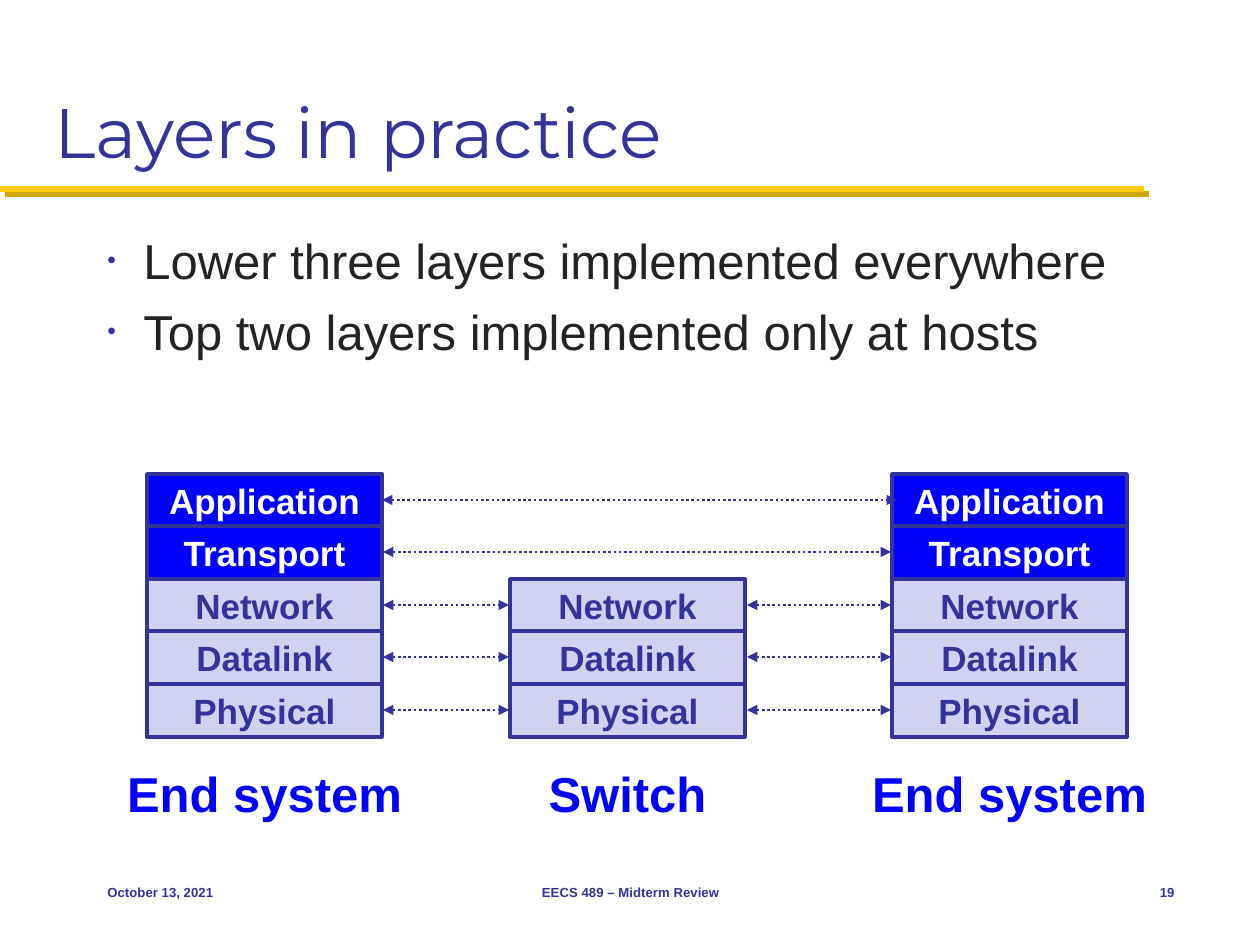
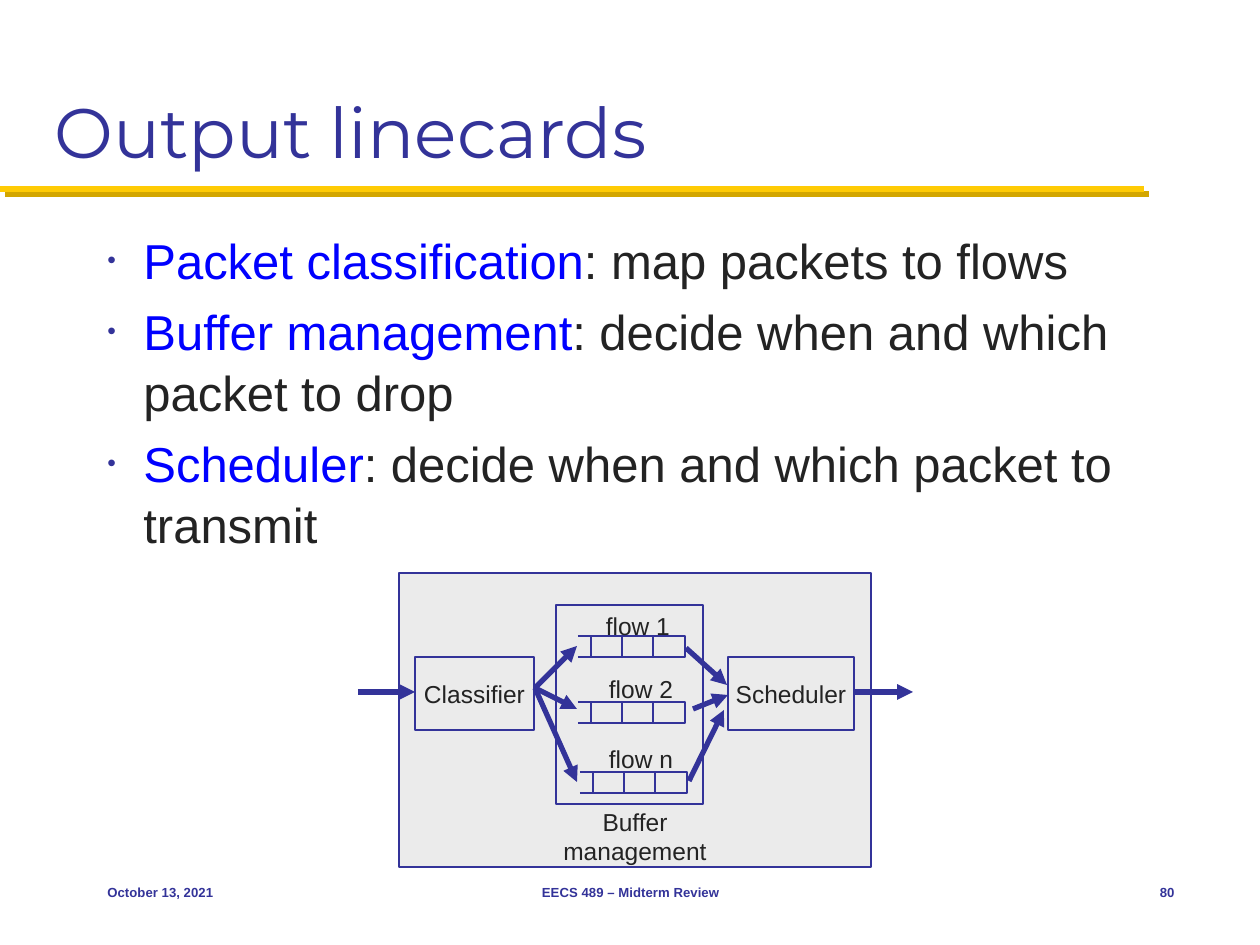
from lxml.etree import SubElement
from pptx import Presentation
from pptx.dml.color import RGBColor as RGB
from pptx.enum.dml import MSO_LINE as DASH
from pptx.enum.shapes import MSO_CONNECTOR as CONNECTOR, MSO_SHAPE as SHAPE
from pptx.enum.text import MSO_ANCHOR as ANCHOR, MSO_AUTO_SIZE as AUTO, PP_ALIGN as ALIGN
from pptx.oxml.ns import qn
from pptx.util import Inches, Pt

PX = 914400 / 126
COLORS = {
    "navy": "333399",
    "blue": "0000FF",
    "lavender": "D1D1F0",
    "gray": "EBEBEB",
    "ink": "232323",
    "white": "FFFFFF",
    "gold": "FFCB05",
    "dark_gold": "D3A600",
}
COLOR = {name: RGB.from_string(value) for name, value in COLORS.items()}


def add_box(page, area, text="", size=14, color="ink", bold=False, align=ALIGN.CENTER,
            fill=None, border=None):
    left, top, width, height = [round(value * PX) for value in area]
    if border:
        box = page.shapes.add_shape(SHAPE.RECTANGLE, left, top, width, height)
        box.shadow.inherit = False
        box.line.color.rgb = COLOR["navy"]
        box.line.width = Pt(border)
        if fill:
            box.fill.solid()
            box.fill.fore_color.rgb = COLOR[fill]
        else:
            box.fill.background()
    else:
        box = page.shapes.add_textbox(left, top, width, height)
    if text:
        frame = box.text_frame
        frame.word_wrap = True
        frame.vertical_anchor = ANCHOR.MIDDLE
        if align == ALIGN.CENTER:
            frame.margin_left = frame.margin_right = 0
        para = frame.paragraphs[0]
        para.alignment = align
        span = para.add_run()
        span.text = text
        span.font.name = "Arial"
        span.font.size = Pt(size)
        span.font.bold = bold
        span.font.color.rgb = COLOR[color]
    return box


def add_line(page, start, end, width=1, color="navy", ends=(), dash=None):
    points = [round(value * PX) for value in (*start, *end)]
    line = page.shapes.add_connector(CONNECTOR.STRAIGHT, *points)
    line.line.color.rgb = COLOR[color]
    line.line.width = Pt(width)
    if dash:
        line.line.dash_style = dash
    for end_name in ends:
        SubElement(line.line._get_or_add_ln(), qn(f"a:{end_name}"), type="triangle")
    SubElement(line.element.spPr, qn("a:effectLst"))
    return line


deck = Presentation()
deck.slide_width = Inches(10)
deck.slide_height = Inches(7.5)
layout = deck.slide_layouts[5]

contents = [
    ("Layers in practice", "19", [
        [("Lower three layers implemented everywhere", "ink")],
        [("Top two layers implemented only at hosts", "ink")],
    ]),
    ("Output linecards", "80", [
        [("Packet classification", "blue"), (": map packets to flows", "ink")],
        [("Buffer management", "blue"), (": decide when and which packet to drop", "ink")],
        [("Scheduler", "blue"), (": decide when and which packet to transmit", "ink")],
    ]),
]

pages = []
for heading, number, bullets in contents:
    page = deck.slides.add_slide(layout)
    pages.append(page)

    title = page.shapes.title
    title.left, title.top, title.width, title.height = [
        round(value * PX) for value in (42, 21, 1176, 158)]
    title.text_frame.auto_size = AUTO.NONE
    title.text_frame.vertical_anchor = ANCHOR.BOTTOM
    para = title.text_frame.paragraphs[0]
    para.alignment = ALIGN.LEFT
    span = para.add_run()
    span.text = heading
    span.font.name = "Montserrat"
    span.font.size = Pt(40)
    span.font.color.rgb = COLOR["navy"]

    body = add_box(page, (95, 222, 1092, 608))
    frame = body.text_frame
    frame.word_wrap = True
    for index, spans in enumerate(bullets):
        para = frame.add_paragraph() if index else frame.paragraphs[0]
        para.line_spacing = 1.04
        para.space_before = Pt(5.6 if index else 0)
        props = para._p.get_or_add_pPr()
        props.set("marL", str(round(36 * PX)))
        props.set("indent", str(round(-36 * PX)))
        SubElement(SubElement(props, qn("a:buClr")), qn("a:srgbClr"), val=COLORS["navy"])
        SubElement(props, qn("a:buSzPct"), val="50000")
        SubElement(props, qn("a:buFont"), typeface="Arial")
        SubElement(props, qn("a:buChar"), char="•")
        for text, color in spans:
            span = para.add_run()
            span.text = text
            span.font.name = "Arial"
            span.font.size = Pt(28)
            span.font.color.rgb = COLOR[color]

    for left, width, text, align in [
        (95, 262, "October 13, 2021", ALIGN.LEFT),
        (431, 399, "EECS 489 – Midterm Review", ALIGN.CENTER),
        (1103, 84, number, ALIGN.RIGHT),
    ]:
        add_box(page, (left, 861, width, 63), text, 7.5, "navy", True, align)

layers_page, linecard_page = pages

rule = add_line(layers_page, (0, 189), (1144, 189), 3.5, "gold")
shadow = SubElement(rule.element.spPr.find(qn("a:effectLst")), qn("a:outerShdw"),
                    dist=str(Pt(4.2)), dir="2700000", algn="ctr", rotWithShape="0")
SubElement(shadow, qn("a:srgbClr"), val=COLORS["dark_gold"])
layout.shapes.element.append(rule.element)

layers = ["Application", "Transport", "Network", "Datalink", "Physical"]
row_tops = [474 + row * 105 // 2 for row in range(len(layers))]
for left, caption, first in [(147, "End system", 0), (510, "Switch", 2), (892, "End system", 0)]:
    for row in range(first, len(layers)):
        host_only = row < 2
        add_box(layers_page, (left, row_tops[row], 235, 53), layers[row], 20,
                "white" if host_only else "navy", True,
                fill="blue" if host_only else "lavender", border=2)
    add_box(layers_page, (left - 34, 757, 303, 72), caption, 28, "blue", True)

for row, top in enumerate(row_tops):
    gaps = [[(382, 897)], [(383, 891)]][row] if row < 2 else [(383, 509), (747, 891)]
    for start, end in gaps:
        add_line(layers_page, (start, top + 26), (end, top + 26), 1.5,
                 ends=("headEnd", "tailEnd"), dash=DASH.ROUND_DOT)

add_box(linecard_page, (399, 573, 472, 294), fill="gray", border=1)
add_box(linecard_page, (556, 605, 147, 199), fill="gray", border=1)
add_box(linecard_page, (415, 657, 119, 73), "Classifier", border=1)
add_box(linecard_page, (728, 657, 126, 73), "Scheduler", border=1)
add_box(linecard_page, (545, 800, 180, 72), "Buffer management")

for left, top, text, center, label_top in [
    (591, 636, "flow 1", 638, 605),
    (591, 702, "flow 2", 641, 668),
    (593, 772, "flow n", 641, 738),
]:
    add_box(linecard_page, (left, top, 94, 21), border=1)
    for cell in range(1, 4):
        divider = left + cell * 94 // 3
        add_line(linecard_page, (divider, top), (divider, top + 21))
    for edge in (top, top + 21):
        add_line(linecard_page, (left - 13, edge), (left + 10, edge))
    add_box(linecard_page, (center - 45, label_top, 90, 42), text)

for start, end in [
    ((358, 692), (415, 692)),
    ((535, 688), (577, 646)),
    ((535, 688), (577, 709)),
    ((535, 688), (577, 782)),
    ((686, 648), (727, 685)),
    ((693, 709), (728, 695)),
    ((689, 781), (724, 710)),
    ((855, 692), (913, 692)),
]:
    add_line(linecard_page, start, end, 3, ends=("tailEnd",))

deck.save("out.pptx")
